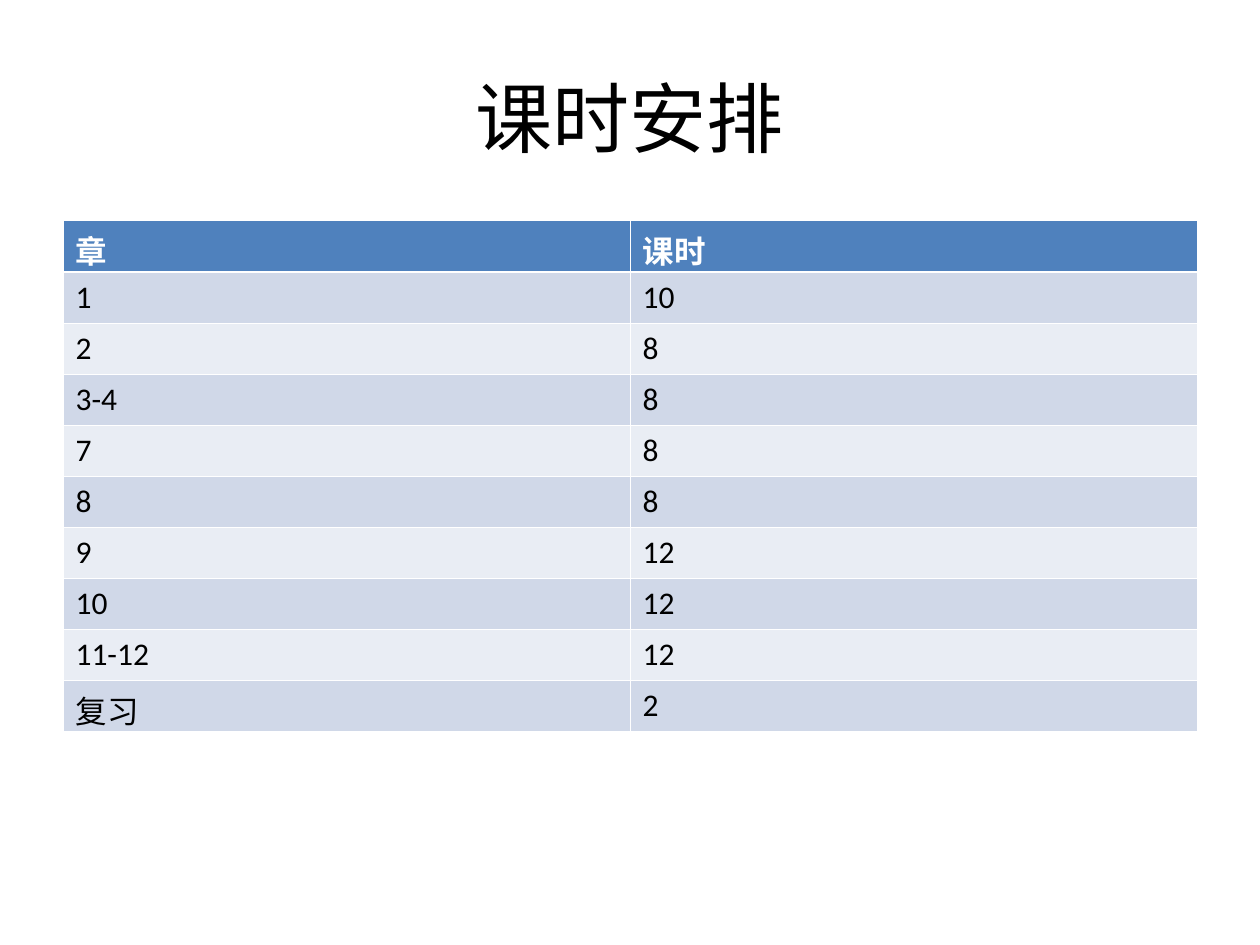
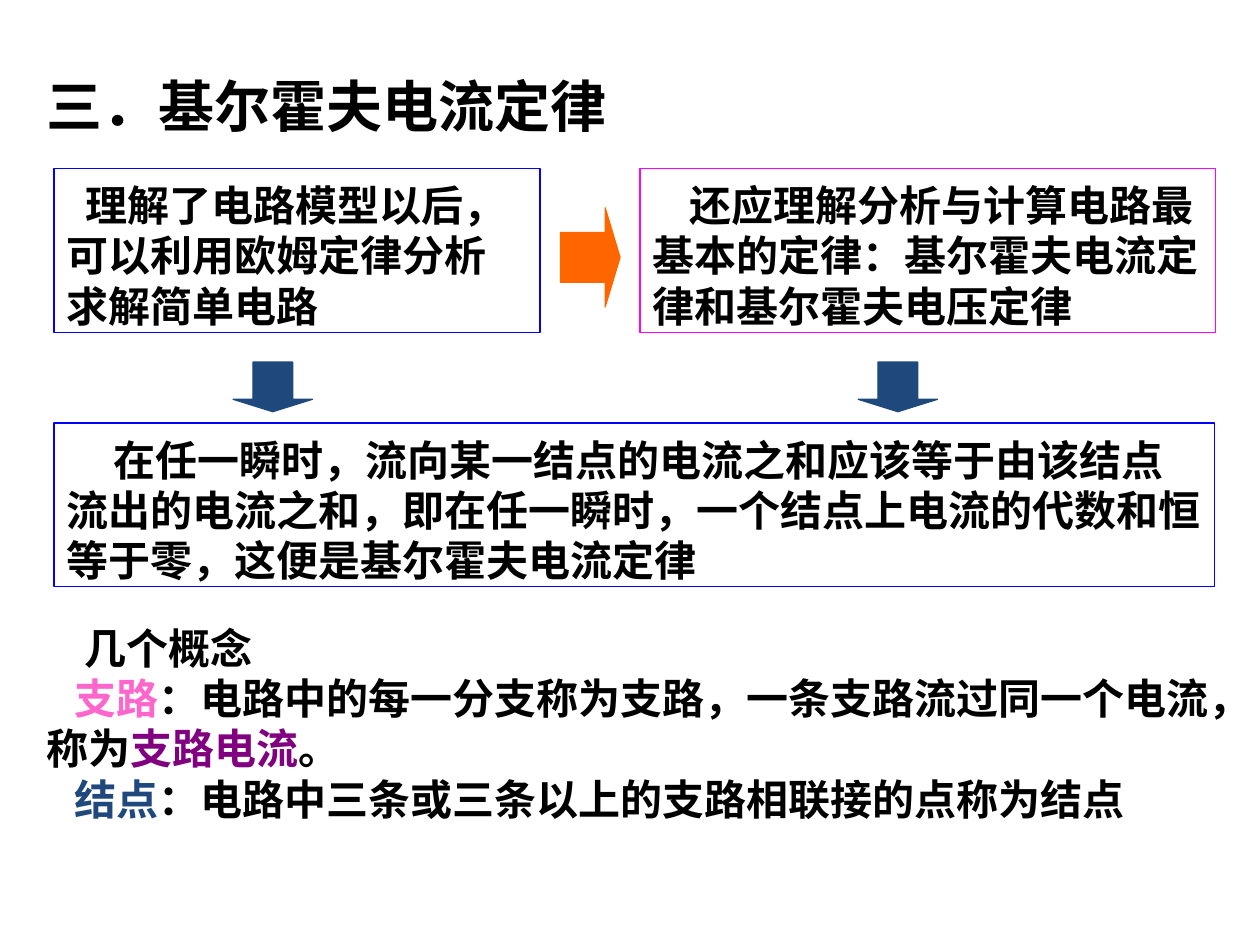
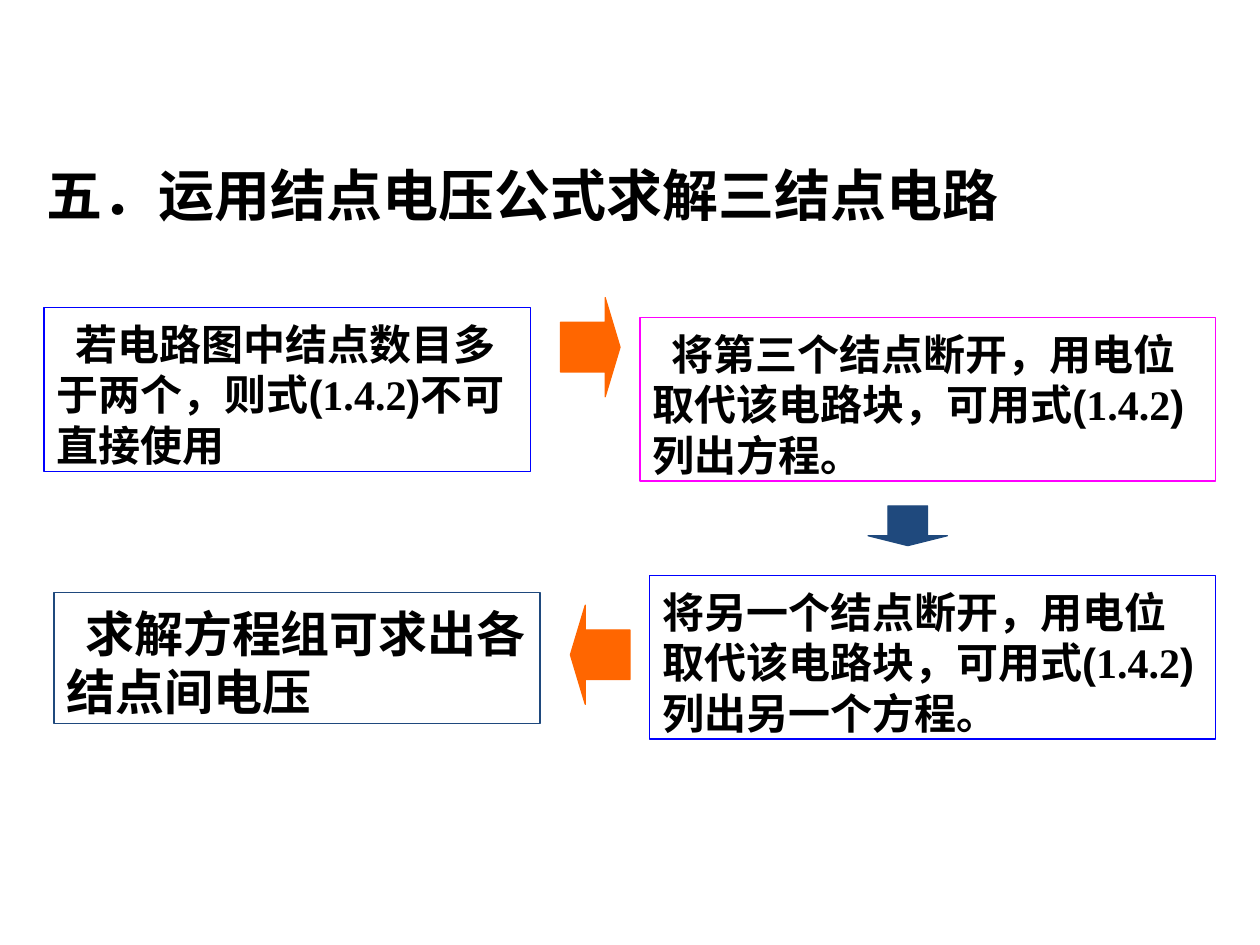
"""Builds three lecture slides on class hours and circuit analysis."""
from dataclasses import dataclass

from lxml import etree
from pptx import Presentation
from pptx.dml.color import RGBColor
from pptx.enum.shapes import MSO_SHAPE
from pptx.enum.text import MSO_ANCHOR, PP_ALIGN
from pptx.oxml.ns import qn
from pptx.util import Cm, Pt

RECT = MSO_SHAPE.RECTANGLE
RIGHT = MSO_SHAPE.RIGHT_ARROW
LEFT = MSO_SHAPE.LEFT_ARROW
DOWN = MSO_SHAPE.DOWN_ARROW
TOP = MSO_ANCHOR.TOP
MIDDLE = MSO_ANCHOR.MIDDLE
START = PP_ALIGN.LEFT
CENTER = PP_ALIGN.CENTER


@dataclass(frozen=True)
class Theme:
    """Colours, fonts and type sizes of the deck."""
    ink: str = "000000"
    white: str = "FFFFFF"
    blue: str = "0000FF"
    magenta: str = "FF00FF"
    orange: str = "FF6600"
    navy: str = "1F497D"
    pink: str = "FF66CC"
    purple: str = "800080"
    head: str = "4F81BD"
    bands: tuple = ("D0D8E8", "E9EDF4")
    latin: str = "Calibri"
    sans: str = "Arial"
    serif: str = "Times New Roman"
    asian: str = "Noto Sans CJK SC"
    cover: int = 44
    title: int = 32
    large: int = 28
    body: int = 24
    cell: int = 18
    thin: float = 0.45
    thick: float = 1.47
    line: float = 0.75
    pitch: float = 1.2
    space: float = 0.19
    inset: float = 0.22


class Deck:
    """Holds the theme and the current slide."""

    def __init__(self, theme):
        """Start an empty deck."""
        self.theme = theme
        self.file = Presentation()
        self.file.slide_width = Cm(25.4)
        self.file.slide_height = Cm(19.05)

    def page(self):
        """Add a blank slide and make it current."""
        self.slide = self.file.slides.add_slide(self.file.slide_layouts[6])

    def style(self, run, size, color, name, bold):
        """Format one run for Latin and Chinese text."""
        font = run.font
        font.size, font.bold, font.name = Pt(size), bold, name
        font.color.rgb = RGBColor.from_string(color)
        asian = etree.Element(qn("a:ea"), typeface=self.theme.asian)
        font._element.find(qn("a:latin")).addnext(asian)

    def title(self, text, top, left=0.69, height=2, size=None, bold=True, align=START):
        """Add a slide title."""
        box = self.slide.shapes.add_textbox(Cm(left), Cm(top), Cm(22.86), Cm(height))
        frame = box.text_frame
        frame.word_wrap, frame.vertical_anchor = True, MIDDLE
        frame.text = text
        para = frame.paragraphs[0]
        para.alignment = align
        self.style(para.runs[0], size or self.theme.title, self.theme.ink,
                   self.theme.latin, bold)

    def prose(self, frame, paras, size):
        """Fill a frame with (indent, parts) paragraphs of (text, colour, font)."""
        theme = self.theme
        frame.word_wrap, frame.vertical_anchor = True, TOP
        frame.margin_top = Cm(theme.inset)
        for i, (indent, parts) in enumerate(paras):
            para = frame.add_paragraph() if i else frame.paragraphs[0]
            para.alignment = START
            para.line_spacing = Pt(size * theme.pitch)
            props = para._p.get_or_add_pPr()
            props.set("marL", "0")
            props.set("indent", str(Cm(indent * theme.space)))
            for text, color, name in parts:
                run = para.add_run()
                run.text = text
                self.style(run, size, color, name, True)

    def shape(self, kind, left, top, width, height, line):
        """Add a preset shape with a plain outline."""
        item = self.slide.shapes.add_shape(kind, Cm(left), Cm(top), Cm(width), Cm(height))
        item.shadow.inherit = False
        item.line.color.rgb = RGBColor.from_string(line)
        item.line.width = Pt(self.theme.line)
        return item

    def box(self, left, top, width, line, indent, parts, height=3.3, size=None):
        """Add an outlined box of text."""
        item = self.shape(RECT, left, top, width, height, line)
        item.fill.background()
        self.prose(item.text_frame, [(indent, parts)], size or self.theme.body)

    def arrow(self, kind, left, top, width, height, color):
        """Add a filled block arrow."""
        item = self.shape(kind, left, top, width, height, color)
        item.adjustments[0], item.adjustments[1] = 0.5, 0.25
        item.fill.solid()
        item.fill.fore_color.rgb = RGBColor.from_string(color)

    def across(self, kind, left, top):
        """Add a sideways arrow."""
        self.arrow(kind, left, top, 1.2, 2, self.theme.orange)

    def down(self, left, top, height=1):
        """Add a downward arrow."""
        self.arrow(DOWN, left, top, 1.6, height, self.theme.navy)

    def notes(self, left, top, width, height, paras):
        """Add free text without an outline."""
        item = self.slide.shapes.add_textbox(Cm(left), Cm(top), Cm(width), Cm(height))
        self.prose(item.text_frame, paras, self.theme.body)

    def edge(self, cell, side, width):
        """Draw one white cell border."""
        line = etree.SubElement(cell._tc.get_or_add_tcPr(), qn("a:" + side),
                                w=str(Pt(width)))
        fill = etree.SubElement(line, qn("a:solidFill"))
        etree.SubElement(fill, qn("a:srgbClr"), val=self.theme.white)

    def table(self, rows, left, top, width, high):
        """Add a banded table with a header row."""
        theme = self.theme
        grid = self.slide.shapes.add_table(len(rows), len(rows[0]), Cm(left), Cm(top),
                                           Cm(width), Cm(high * len(rows))).table
        for r, row in enumerate(rows):
            grid.rows[r].height = Cm(high)
            fill = theme.bands[(r - 1) % 2] if r else theme.head
            for c, text in enumerate(row):
                cell = grid.cell(r, c)
                for side in ("lnL", "lnR", "lnT", "lnB"):
                    thick = (r, side) in ((0, "lnB"), (1, "lnT"))
                    self.edge(cell, side, theme.thick if thick else theme.thin)
                cell.fill.solid()
                cell.fill.fore_color.rgb = RGBColor.from_string(fill)
                cell.text = text
                self.style(cell.text_frame.paragraphs[0].runs[0], theme.cell,
                           theme.ink if r else theme.white, theme.latin, r == 0)


def hours(deck):
    """Build the class hours slide."""
    deck.page()
    deck.title("课时安排", 0.76, 1.27, 3.18, deck.theme.cover, False, CENTER)
    rows = [("章", "课时"), ("1", "10"), ("2", "8"), ("3-4", "8"), ("7", "8"),
            ("8", "8"), ("9", "12"), ("10", "12"), ("11-12", "12"), ("复习", "2")]
    deck.table(rows, 1.27, 4.45, 22.86, 1.03)


def current(deck):
    """Build the current law slide."""
    theme = deck.theme

    def say(text, color=theme.ink):
        """Make one part of a line."""
        return text, color, theme.sans

    deck.page()
    deck.title("三．基尔霍夫电流定律", 1.12)
    deck.box(1.09, 3.4, 9.8, theme.blue, 2,
             [say("理解了电路模型以后，可以利用欧姆定律分析求解简单电路")])
    deck.across(RIGHT, 11.3, 4.19)
    deck.box(12.9, 3.4, 11.6, theme.magenta, 4,
             [say("还应理解分析与计算电路最基本的定律：基尔霍夫电流定律和基尔霍夫电压定律")])
    for left in (4.7, 17.3):
        deck.down(left, 7.3)
    deck.box(1.09, 8.53, 23.4, theme.blue, 5,
             [say("在任一瞬时，流向某一结点的电流之和应该等于由该结点流出的电流之和，"
                  "即在任一瞬时，一个结点上电流的代数和恒等于零，这便是基尔霍夫电流定律")])
    deck.notes(0.69, 12.32, 24, 4.32, [
        (4, [say("几个概念")]),
        (3, [say("支路", theme.pink),
             say("：电路中的每一分支称为支路，一条支路流过同一个电流，称为"),
             say("支路电流", theme.purple), say("。")]),
        (3, [say("结点", theme.navy),
             say("：电路中三条或三条以上的支路相联接的点称为结点")]),
    ])


def voltage(deck):
    """Build the node voltage slide."""
    theme = deck.theme

    def cite(before, after):
        """Put the formula number between two pieces of text."""
        return [(before + "(", theme.ink, theme.sans),
                ("1.4.2", theme.ink, theme.serif),
                (")" + after, theme.ink, theme.sans)]

    deck.page()
    deck.title("五．运用结点电压公式求解三结点电路", 2.92)
    deck.box(0.89, 6.2, 9.8, theme.blue, 2,
             cite("若电路图中结点数目多于两个，则式", "不可直接使用"))
    deck.across(RIGHT, 11.3, 6)
    deck.box(12.9, 6.4, 11.6, theme.magenta, 2,
             cite("将第三个结点断开，用电位取代该电路块，可用式", "列出方程。"))
    deck.down(17.5, 10.2, 0.8)
    deck.box(13.1, 11.6, 11.4, theme.blue, 0,
             cite("将另一个结点断开，用电位取代该电路块，可用式", "列出另一个方程。"))
    deck.across(LEFT, 11.5, 12.2)
    deck.box(1.09, 11.94, 9.8, theme.navy, 2,
             [("求解方程组可求出各结点间电压", theme.ink, theme.sans)], 2.64, theme.large)


def main():
    """Build and save the deck."""
    deck = Deck(Theme())
    for build in (hours, current, voltage):
        build(deck)
    deck.file.save("out.pptx")


if __name__ == "__main__":
    main()
